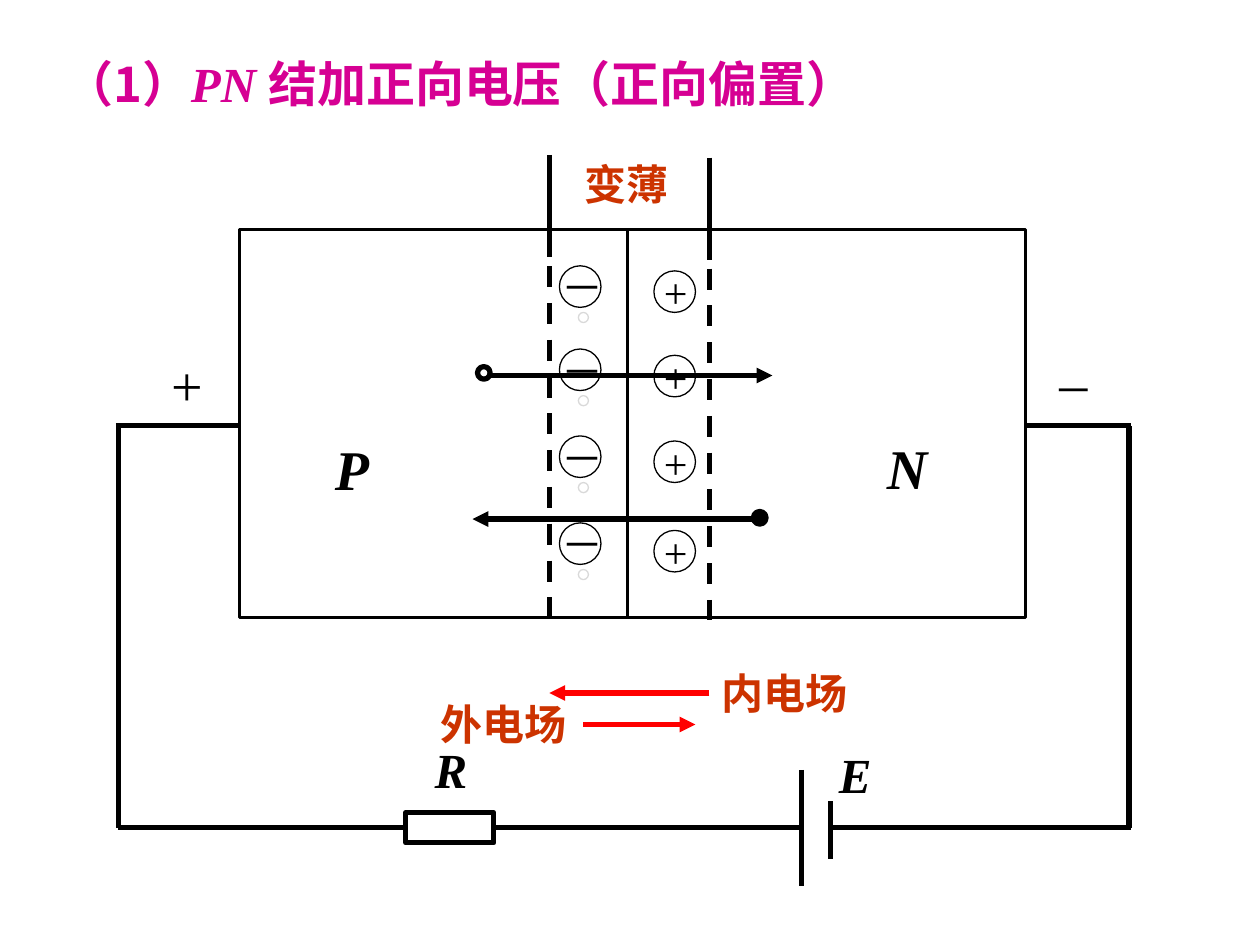
import lxml.etree
import pptx
import pptx.dml.color
import pptx.enum.dml
import pptx.enum.shapes
import pptx.enum.text
import pptx.oxml.ns
import pptx.util

BLACK, WHITE, RED, BROWN, MAGENTA, PALE = "000000", "FFFFFF", "FF0000", "CC3300", "D60093", "D9D9D9"
SERIF, SANS = "Times New Roman", "Noto Sans CJK SC"
WIDTH, HEIGHT = 10, 7.5

P_LEFT, JUNCTION, N_RIGHT = 1.9, 4.98, 8.14
BLOCK_TOP, BLOCK_HEIGHT = 1.82, 3.08
LAYER_LEFT, LAYER_RIGHT = 4.36, 5.63
WIRE_LEFT, WIRE_RIGHT, WIRE_TOP, WIRE_BOTTOM = 0.94, 8.96, 3.38, 6.57
CELL_LEFT, CELL_RIGHT = 6.36, 6.59
HOLE_Y, ELECTRON_Y = 2.98, 4.12
ION_SIZE, DOT_SIZE, CARRIER_SIZE = 0.33, 0.08, 0.1
WIRE_WEIGHT = 3

TITLE_RUNS = [("（1）", SANS, False), ("PN ", SERIF, True), ("结加正向电压（正向偏置）", SANS, False)]
ION_COLUMNS = [
    ("－", 4.44, 4.36, 0.58, (2.11, 2.77, 3.46, 4.15), True),
    ("+", 5.19, 5.17, 0.42, (2.15, 2.82, 3.5, 4.21), False),
]
WIRES = [
    (WIRE_LEFT - 0.02, WIRE_TOP, P_LEFT, WIRE_TOP),
    (WIRE_LEFT, WIRE_TOP, WIRE_LEFT, WIRE_BOTTOM),
    (WIRE_LEFT, WIRE_BOTTOM, CELL_LEFT + 0.02, WIRE_BOTTOM),
    (N_RIGHT, WIRE_TOP, WIRE_RIGHT + 0.02, WIRE_TOP),
    (WIRE_RIGHT, WIRE_TOP, WIRE_RIGHT, WIRE_BOTTOM),
    (CELL_RIGHT, WIRE_BOTTOM, WIRE_RIGHT + 0.02, WIRE_BOTTOM),
    (CELL_LEFT, 6.11, CELL_LEFT, 7.03),
    (CELL_RIGHT, 6.36, CELL_RIGHT, 6.82),
]
ARROWS = [
    (LAYER_RIGHT, 5.5, LAYER_LEFT, 5.5, RED),
    (4.63, 5.75, 5.52, 5.75, RED),
    (3.9, HOLE_Y, 6.13, HOLE_Y, BLACK),
    (5.98, ELECTRON_Y, 3.75, ELECTRON_Y, BLACK),
]
SYMBOLS = [
    ("R", 3.35, 5.82, 0.48, 0.57, 28, True),
    ("E", 6.56, 5.86, 0.48, 0.57, 28, True),
    ("P", 2.56, 3.4, 0.76, 0.64, 32, True),
    ("N", 6.94, 3.39, 0.76, 0.64, 32, True),
    ("+", 1.26, 2.73, 0.82, 0.64, 32, False),
    ("_", 8.31, 2.56, 0.71, 0.64, 32, False),
]
NOTES = [
    ("内电场", 5.63, 5.25, 1.37),
    ("外电场", 3.4, 5.49, 1.33),
    ("变薄", 4.54, 1.21, 1.04),
]


def color(value):
    return pptx.dml.color.RGBColor.from_string(value)


def inches(*values):
    return [pptx.util.Inches(value) for value in values]


def add_run(paragraph, text, size, ink, font=SERIF, bold=False, italic=False):
    run = paragraph.add_run()
    run.text = text
    run.font.name = font
    run.font.size = pptx.util.Pt(size)
    run.font.bold = bold
    run.font.italic = italic
    run.font.color.rgb = color(ink)
    east_asian = lxml.etree.SubElement(run.font._element, pptx.oxml.ns.qn("a:ea"))
    east_asian.set("typeface", SANS)


def add_text(slide, text, left, top, width, height, size, ink=BLACK, bold=False, italic=False, middle=False):
    box = slide.shapes.add_textbox(*inches(left, top, width, height))
    frame = box.text_frame
    frame.word_wrap = True
    if middle:
        frame.vertical_anchor = pptx.enum.text.MSO_ANCHOR.MIDDLE
    add_run(frame.paragraphs[0], text, size, ink, SERIF, bold, italic)


def add_outline(slide, kind, left, top, width, height, weight, fill=None, ink=BLACK):
    shape = slide.shapes.add_shape(kind, *inches(left, top, width, height))
    shape.shadow.inherit = False
    if fill:
        shape.fill.solid()
        shape.fill.fore_color.rgb = color(fill)
    else:
        shape.fill.background()
    shape.line.color.rgb = color(ink)
    shape.line.width = pptx.util.Pt(weight)


def add_line(slide, start_x, start_y, end_x, end_y, ink=BLACK, dashed=False, arrow=False):
    line = slide.shapes.add_connector(
        pptx.enum.shapes.MSO_CONNECTOR.STRAIGHT, *inches(start_x, start_y, end_x, end_y))
    line.line.color.rgb = color(ink)
    line.line.width = pptx.util.Pt(WIRE_WEIGHT)
    if dashed:
        line.line.dash_style = pptx.enum.dml.MSO_LINE.DASH
    properties = line._element.spPr
    if arrow:
        outline = properties.find(pptx.oxml.ns.qn("a:ln"))
        lxml.etree.SubElement(outline, pptx.oxml.ns.qn("a:tailEnd")).set("type", "triangle")
    lxml.etree.SubElement(properties, pptx.oxml.ns.qn("a:effectLst"))


def add_title(slide):
    title = slide.shapes.title
    title.left, title.top, title.width, title.height = inches(0.41, 0.37, 7.73, 0.57)
    frame = title.text_frame
    frame.auto_size = pptx.enum.text.MSO_AUTO_SIZE.NONE
    frame.word_wrap = True
    frame.vertical_anchor = pptx.enum.text.MSO_ANCHOR.MIDDLE
    paragraph = frame.paragraphs[0]
    paragraph.alignment = pptx.enum.text.PP_ALIGN.LEFT
    paragraph.space_before = pptx.util.Pt(0)
    for text, font, italic in TITLE_RUNS:
        add_run(paragraph, text, 28, MAGENTA, font, True, italic)


def add_junction(slide):
    rectangle = pptx.enum.shapes.MSO_SHAPE.RECTANGLE
    oval = pptx.enum.shapes.MSO_SHAPE.OVAL
    for left, right in ((P_LEFT, JUNCTION), (JUNCTION, N_RIGHT)):
        add_outline(slide, rectangle, left, BLOCK_TOP, right - left, BLOCK_HEIGHT, 1.5)
    for sign, ion_left, text_left, text_width, tops, has_dot in ION_COLUMNS:
        for top in tops:
            add_outline(slide, oval, ion_left, top, ION_SIZE, ION_SIZE, 0.75)
            add_text(slide, sign, text_left, top - 0.08, text_width, 0.5, 24)
            if has_dot:
                add_outline(slide, oval, ion_left + 0.15, top + 0.37, DOT_SIZE, DOT_SIZE, 0.75, ink=PALE)
    for edge, offset in ((LAYER_LEFT, 0), (LAYER_RIGHT, 0.02)):
        top = BLOCK_TOP + offset
        add_line(slide, edge, top, edge, top + BLOCK_HEIGHT, dashed=True)
        add_line(slide, edge, top - 0.59, edge, top + 0.22)
    add_outline(slide, oval, 3.79, HOLE_Y - 0.07, CARRIER_SIZE, CARRIER_SIZE, WIRE_WEIGHT)
    add_outline(slide, oval, 5.98, ELECTRON_Y - 0.06, CARRIER_SIZE, CARRIER_SIZE, WIRE_WEIGHT, BLACK)


def add_circuit(slide):
    for wire in WIRES:
        add_line(slide, *wire)
    add_outline(slide, pptx.enum.shapes.MSO_SHAPE.RECTANGLE,
                3.22, WIRE_BOTTOM - 0.12, 0.7, 0.24, WIRE_WEIGHT, WHITE)
    for arrow in ARROWS:
        add_line(slide, *arrow, arrow=True)


def main():
    presentation = pptx.Presentation()
    presentation.slide_width, presentation.slide_height = inches(WIDTH, HEIGHT)
    slide = presentation.slides.add_slide(presentation.slide_layouts[5])
    add_title(slide)
    add_junction(slide)
    add_circuit(slide)
    for text, left, top, width, height, size, strong in SYMBOLS:
        add_text(slide, text, left, top, width, height, size, bold=strong, italic=strong)
    for text, left, top, width in NOTES:
        add_text(slide, text, left, top, width, 0.5, 24, BROWN, bold=True, middle=True)
    presentation.save("out.pptx")


if __name__ == "__main__":
    main()
